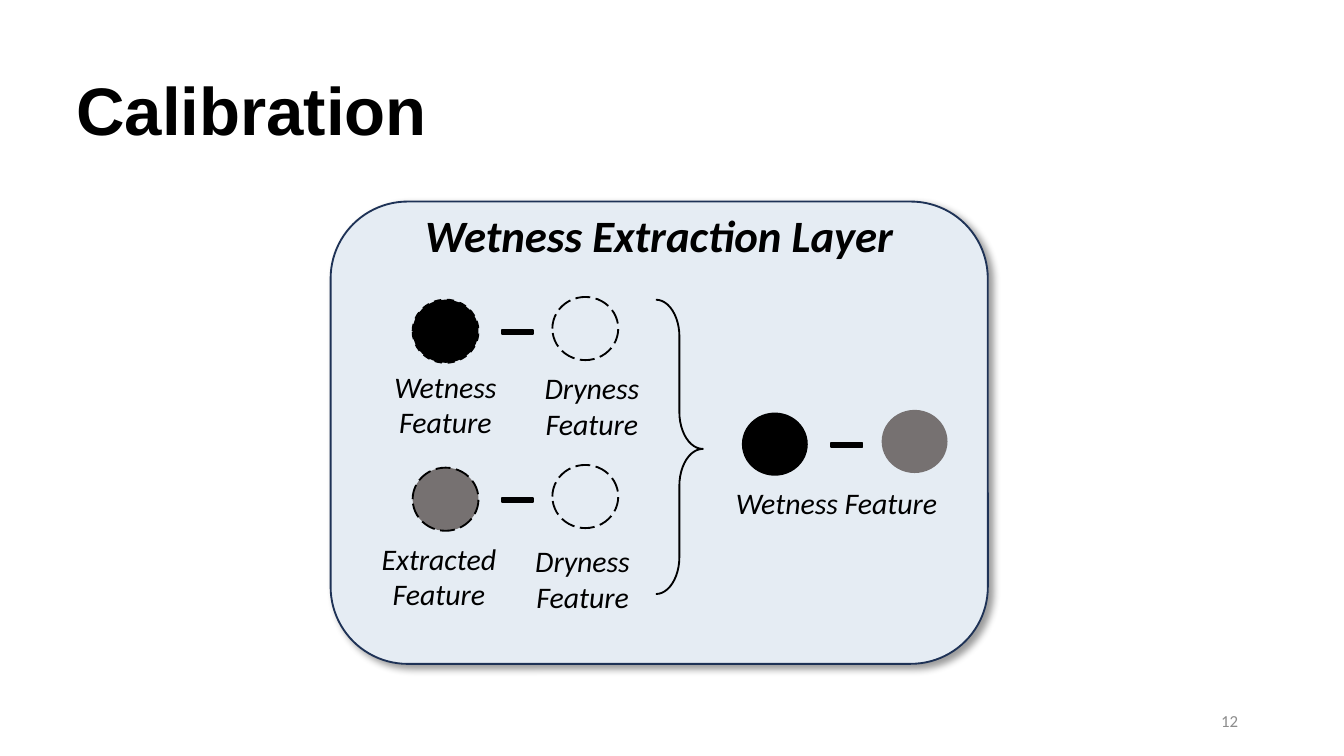
import pptx
import pptx.util
import pptx.dml.color
import pptx.enum.dml
import pptx.enum.shapes
import pptx.enum.text
import pptx.oxml

Inches, Pt = pptx.util.Inches, pptx.util.Pt
Kind = pptx.enum.shapes.MSO_SHAPE
Dash = pptx.enum.dml.MSO_LINE
Align = pptx.enum.text.PP_ALIGN
Anchor = pptx.enum.text.MSO_ANCHOR

BLACK, GRAY, PALE, NAVY, DIM = "000000", "767171", "E5ECF3", "1E3256", "8C8C8C"
PANEL = (2.46, 1.5, 4.89, 3.44)
BRACE = (4.88, 2.23, 0.35, 2.19)
BALL = (0.49, 0.47)
MINUS = (0.32, 0.12)
MINUS_STEP = (0.62, 0.18)
RIGHT_STEP = (1.04, -0.02)

PAIRS = [
    {"at": (3.07, 2.23), "fills": (BLACK, None), "dashes": (Dash.DASH, Dash.LONG_DASH)},
    {"at": (3.07, 3.48), "fills": (GRAY, None), "dashes": (Dash.LONG_DASH, Dash.LONG_DASH)},
    {"at": (5.52, 3.07), "fills": (BLACK, GRAY), "dashes": (None, None)},
]
LABELS = [
    ("Wetness Feature", (2.68, 2.69, 1.27, 0.72)),
    ("Dryness Feature", (3.77, 2.7, 1.27, 0.72)),
    ("Extracted Feature", (2.57, 3.97, 1.39, 0.72)),
    ("Dryness Feature", (3.7, 3.99, 1.27, 0.72)),
    ("Wetness Feature", (5.23, 3.56, 1.99, 0.42)),
]
SHADOW = (
    '<a:effectLst xmlns:a="http://schemas.openxmlformats.org/drawingml/2006/main">'
    '<a:outerShdw blurRad="50800" dist="38100" dir="2700000" algn="tl" rotWithShape="0">'
    '<a:srgbClr val="000000"><a:alpha val="40000"/></a:srgbClr>'
    '</a:outerShdw></a:effectLst>'
)

deck = pptx.Presentation()
deck.slide_width = Inches(10)
deck.slide_height = deck.slide_width * 9 // 16
slide = deck.slides.add_slide(deck.slide_layouts[6])


def color(code):
    return pptx.dml.color.RGBColor.from_string(code)


def draw(kind, box, fill=None, line=None, dash=None):
    shape = slide.shapes.add_shape(kind, *map(Inches, box))
    shape.shadow.inherit = False
    if fill:
        shape.fill.solid()
        shape.fill.fore_color.rgb = color(fill)
    else:
        shape.fill.background()
    if line:
        shape.line.color.rgb = color(line)
        shape.line.width = Pt(1)
        if dash:
            shape.line.dash_style = dash
    else:
        shape.line.fill.background()
    return shape


def write(text, box, size, font="Calibri", ink=BLACK, bold=False, slant=False,
          align=Align.CENTER, anchor=Anchor.TOP, space=1.0):
    frame = slide.shapes.add_textbox(*map(Inches, box)).text_frame
    frame.word_wrap = True
    frame.vertical_anchor = anchor
    frame.text = text
    line = frame.paragraphs[0]
    line.alignment = align
    line.line_spacing = space
    face = line.runs[0].font
    face.name, face.size, face.bold, face.italic = font, Pt(size), bold, slant
    face.color.rgb = color(ink)


def shift(at, step):
    return at[0] + step[0], at[1] + step[1]


write("Calibration", (0.47, 0.3, 9.16, 1.09), 36, font="Arial", bold=True,
      align=Align.LEFT, anchor=Anchor.MIDDLE, space=0.9)

panel = draw(Kind.ROUNDED_RECTANGLE, PANEL, PALE, NAVY)
panel.shadow.inherit = True
panel.element.spPr.append(pptx.oxml.parse_xml(SHADOW))
write("Wetness Extraction Layer", (2.46, 1.5, 4.89, 0.57), 24, bold=True, slant=True)

for pair in PAIRS:
    spots = pair["at"], shift(pair["at"], RIGHT_STEP)
    for spot, fill, dash in zip(spots, pair["fills"], pair["dashes"]):
        draw(Kind.OVAL, spot + BALL, fill, BLACK if dash else None, dash)
    draw(Kind.MATH_MINUS, shift(pair["at"], MINUS_STEP) + MINUS, BLACK, BLACK)

for text, box in LABELS:
    write(text, box, 16, slant=True)

brace = draw(Kind.RIGHT_BRACE, BRACE, line=BLACK)
brace.adjustments[0], brace.adjustments[1] = 0.785, 0.507

write("12", (7.06, 5.21, 2.25, 0.3), 9, ink=DIM, align=Align.RIGHT, anchor=Anchor.MIDDLE)

deck.save("out.pptx")
